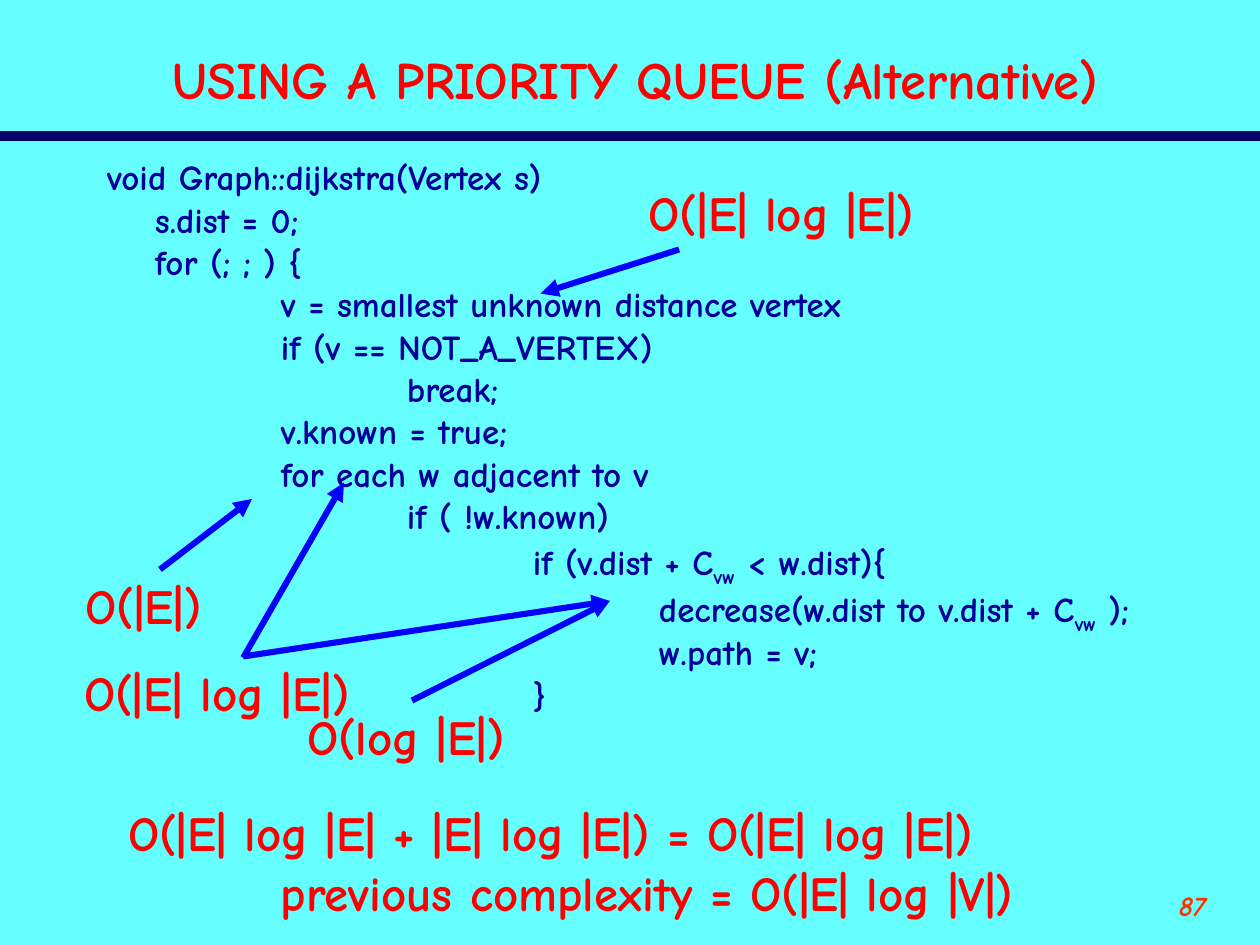
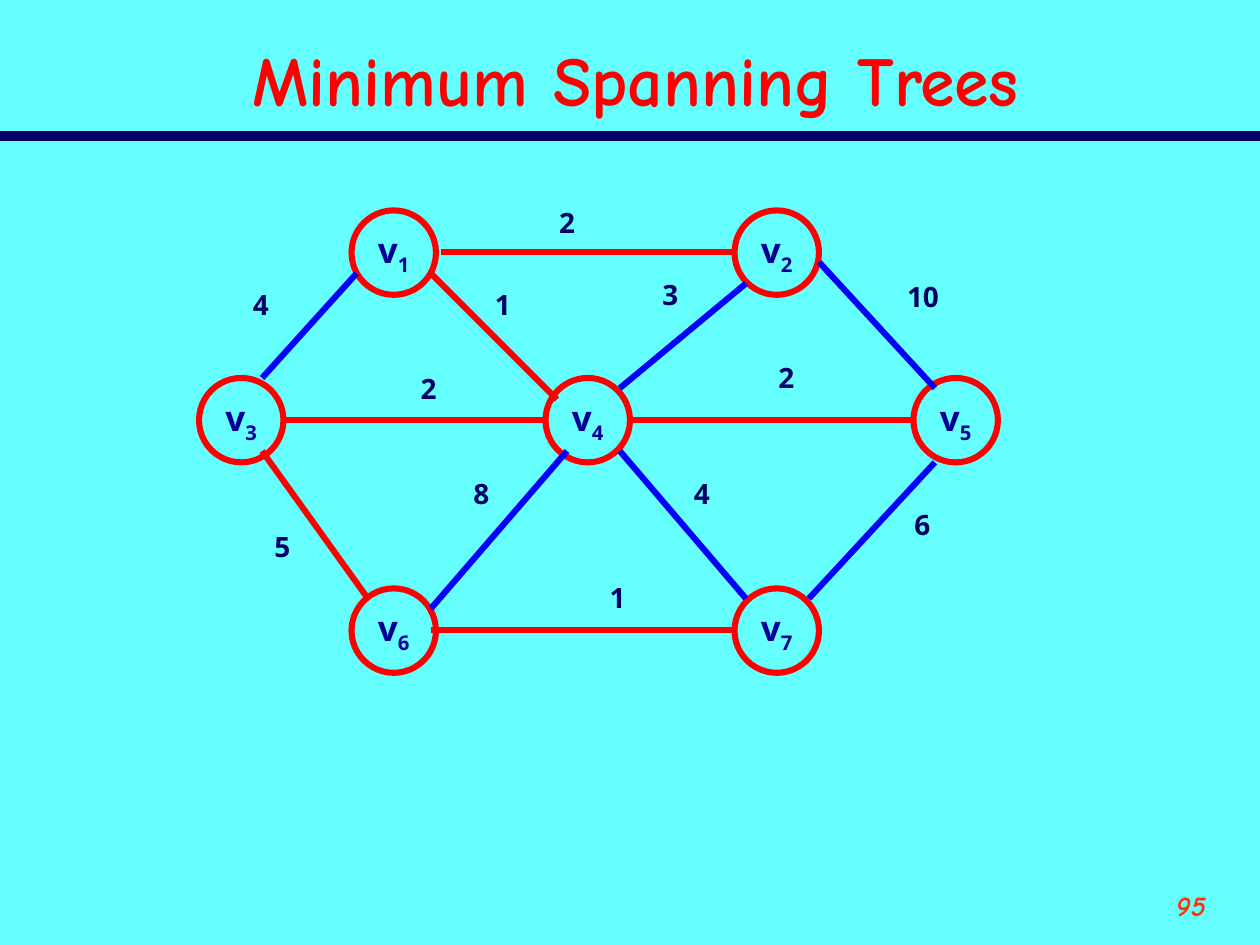
from typing import NamedTuple, Optional

from lxml.etree import SubElement
from pptx import Presentation
from pptx.dml.color import RGBColor
from pptx.enum.shapes import MSO_CONNECTOR as Conn, MSO_SHAPE as Form
from pptx.enum.text import MSO_ANCHOR as Anchor, MSO_AUTO_SIZE as Fit, PP_ALIGN as Align
from pptx.oxml.ns import qn
from pptx.util import Inches, Pt

AQUA = RGBColor(0x66, 0xFF, 0xFF)
NAVY = RGBColor(0x00, 0x00, 0x66)
INK = RGBColor(0x00, 0x00, 0x99)
RED = RGBColor(0xFF, 0x00, 0x00)
BLUE = RGBColor(0x00, 0x00, 0xFF)
ORANGE = RGBColor(0xFF, 0x33, 0x00)
COMIC = "Comic Neue"
SANS = "Noto Sans"
SIDE = 0.67
COLS = (1.58, 2.79, 4.33, 5.83, 7.25)
ROWS = (1.67, 3, 4.67)


class Style(NamedTuple):
    size: int
    color: RGBColor
    face: str = COMIC
    slant: bool = False


class Code(NamedTuple):
    depth: int
    text: str


class Note(NamedTuple):
    text: str
    left: float
    top: float
    width: float
    height: float
    wrap: bool = False
    indent: float = 0


class Line(NamedTuple):
    x1: float
    y1: float
    x2: float
    y2: float
    color: RGBColor = BLUE
    width: float = 3.5
    arrow: bool = False


class Edge(NamedTuple):
    line: Line
    cost: str
    left: float
    top: float


class Node(NamedTuple):
    name: str
    col: int
    row: int


BIG = Style(28, RED)
CODE = Style(20, INK)
NODE = Style(20, INK, SANS)
COST = Style(16, NAVY, SANS)
PAGE = Style(16, ORANGE, slant=True)

LINES = (
    Code(0, "void Graph::dijkstra(Vertex s)"),
    Code(1, "s.dist = 0;"),
    Code(1, "for (; ; ) {"),
    Code(2, "v = smallest unknown distance vertex"),
    Code(2, "if (v == NOT_A_VERTEX)"),
    Code(3, "break;"),
    Code(2, "v.known = true;"),
    Code(2, "for each w adjacent to v"),
    Code(3, "if ( !w.known)"),
    Code(4, "if (v.dist + C~vw~ < w.dist){"),
    Code(5, "decrease(w.dist to v.dist + C~vw~ );"),
    Code(5, "w.path = v;"),
    Code(4, "}"),
)
NOTES = (
    Note("O(|E| log |E| + |E| log |E|) = O(|E| log |E|)", 0.42, 6.32, 9.25, 0.6, True, 0.5),
    Note("O(|E| log |E|)", 5.05, 1.4, 2.34, 0.57),
    Note("O(|E|)", 0.58, 4.52, 1.15, 0.57),
    Note("O(log |E|)", 2.34, 5.56, 1.8, 0.57),
    Note("O(|E| log |E|)", 0.57, 5.21, 2.34, 0.57),
    Note("previous complexity = O(|E| log |V|)", 1.63, 6.8, 9.25, 0.6, True, 0.5),
)
ARROWS = (
    Line(5.39, 1.98, 4.29, 2.33, arrow=True),
    Line(1.27, 4.52, 2, 3.96, arrow=True),
    Line(3.27, 5.56, 4.84, 4.77, arrow=True),
    Line(1.93, 5.22, 2.73, 3.83, arrow=True),
    Line(1.93, 5.21, 4.84, 4.77, arrow=True),
)
NODES = (
    Node("v~3~", 0, 1), Node("v~1~", 1, 0), Node("v~6~", 1, 2), Node("v~4~", 2, 1),
    Node("v~2~", 3, 0), Node("v~7~", 3, 2), Node("v~5~", 4, 1),
)
EDGES = (
    Edge(Line(2.25, 3.33, 4.33, 3.33, RED), "2", 3.24, 2.9),
    Edge(Line(2.08, 3.58, 2.92, 4.75, RED), "5", 2.08, 4.15),
    Edge(Line(2.83, 2.17, 2.08, 3), "4", 1.91, 2.23),
    Edge(Line(3.5, 2, 5.83, 2, RED), "2", 4.34, 1.58),
    Edge(Line(3.42, 2.17, 4.42, 3.17, RED), "1", 3.83, 2.23),
    Edge(Line(5.92, 2.25, 4.92, 3.08), "3", 5.16, 2.15),
    Edge(Line(5, 3.33, 7.25, 3.33, RED), "2", 6.08, 2.81),
    Edge(Line(6.5, 2.08, 7.42, 3.08), "10", 7.1, 2.17),
    Edge(Line(4.5, 3.58, 3.42, 4.83), "8", 3.66, 3.73),
    Edge(Line(4.92, 3.58, 5.92, 4.75), "4", 5.41, 3.73),
    Edge(Line(5.83, 5, 3.42, 5, RED), "1", 4.74, 4.56),
    Edge(Line(7.42, 3.67, 6.42, 4.75), "6", 7.16, 3.98),
)


def write(par, text: str, style: Style, align: Optional[Align] = None) -> None:
    parts = text.split("~")
    par.text = parts[0]
    for part in parts[1:]:
        if part:
            par.add_run().text = part
    if align is not None:
        par.alignment = align
    for pos, run in enumerate(par.runs):
        font = run.font
        font.name, font.size, font.bold = style.face, Pt(style.size), True
        font.italic = style.slant
        font.color.rgb = style.color
        if pos % 2:
            font._element.set("baseline", "-25000")


def place(shape, left: float, top: float, width: float, height: float) -> None:
    shape.left, shape.top = Inches(left), Inches(top)
    shape.width, shape.height = Inches(width), Inches(height)


def put_line(slide, line: Line) -> None:
    ends = [Inches(end) for end in line[:4]]
    link = slide.shapes.add_connector(Conn.STRAIGHT, *ends)
    link.line.color.rgb = line.color
    link.line.width = Pt(line.width)
    if line.arrow:
        SubElement(link.line._get_or_add_ln(), qn("a:tailEnd"), type="triangle")
    SubElement(link._element.spPr, qn("a:effectLst"))


def put_note(slide, note: Note, style: Style, align: Align = Align.LEFT) -> None:
    box = slide.shapes.add_textbox(*(Inches(size) for size in note[1:5]))
    frame = box.text_frame
    frame.word_wrap = note.wrap
    frame.auto_size = Fit.NONE if note.wrap else Fit.SHAPE_TO_FIT_TEXT
    par = frame.paragraphs[0]
    write(par, note.text, style, align)
    par._p.get_or_add_pPr().set("marL", str(Inches(note.indent)))


def put_node(slide, node: Node) -> None:
    spot = (COLS[node.col], ROWS[node.row], SIDE, SIDE)
    disc = slide.shapes.add_shape(Form.OVAL, *(Inches(size) for size in spot))
    disc.shadow.inherit = False
    disc.fill.background()
    disc.line.color.rgb = RED
    disc.line.width = Pt(3.5)
    frame = disc.text_frame
    frame.word_wrap = False
    frame.vertical_anchor = Anchor.MIDDLE
    write(frame.paragraphs[0], node.name, NODE, Align.CENTER)


def put_code(slide) -> None:
    body = slide.placeholders[1]
    place(body, 0.75, 1.25, 8.83, 5.42)
    frame = body.text_frame
    frame.auto_size = Fit.NONE
    frame.vertical_anchor = Anchor.TOP
    frame.text = "\n".join(line.text for line in LINES)
    for pos, (par, line) in enumerate(zip(frame.paragraphs, LINES)):
        props = par._p.get_or_add_pPr()
        left = line.depth - 0.62 if line.depth else 0
        props.set("marL", str(Inches(left)))
        props.set("indent", "0")
        SubElement(props, qn("a:buNone"))
        par.line_spacing = 0.8
        par.space_before = Pt(5 if pos else 0)
        write(par, line.text, CODE)


def start(deck, kind: int, title: str, size: int, page: str):
    slide = deck.slides.add_slide(deck.slide_layouts[kind])
    put_line(slide, Line(0, 1.08, 10, 1.08, NAVY, 6))
    head = slide.shapes.title
    place(head, 0.42, 0.25, 9.25, 0.75)
    frame = head.text_frame
    frame.auto_size = Fit.NONE
    frame.vertical_anchor = Anchor.MIDDLE
    write(frame.paragraphs[0], title, Style(size, RED), Align.CENTER)
    put_note(slide, Note(page, 8.67, 7, 1, 0.5, True), PAGE, Align.RIGHT)
    return slide


def draw_queue(deck) -> None:
    slide = start(deck, 1, "USING A PRIORITY QUEUE (Alternative)", 30, "87")
    put_code(slide)
    for note in NOTES:
        put_note(slide, note, BIG)
    for arrow in ARROWS:
        put_line(slide, arrow)


def draw_trees(deck) -> None:
    slide = start(deck, 5, "Minimum Spanning Trees", 40, "95")
    for node in NODES:
        put_node(slide, node)
    for edge in EDGES:
        put_line(slide, edge.line)
        width = 0.2 + 0.14 * len(edge.cost)
        put_note(slide, Note(edge.cost, edge.left, edge.top, width, 0.37), COST)


def main() -> None:
    deck = Presentation()
    deck.slide_width, deck.slide_height = Inches(10), Inches(7.5)
    fill = deck.slide_master.background.fill
    fill.solid()
    fill.fore_color.rgb = AQUA
    draw_queue(deck)
    draw_trees(deck)
    deck.save("out.pptx")


if __name__ == "__main__":
    main()
